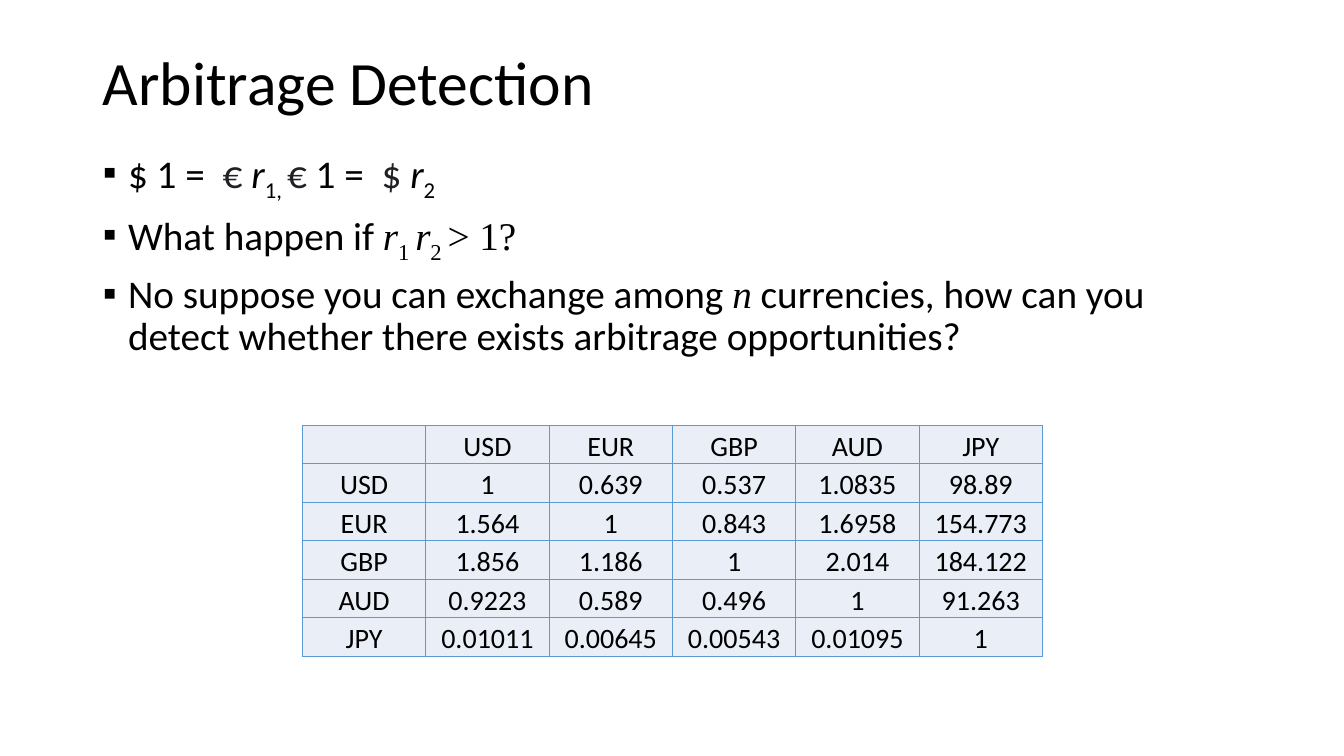
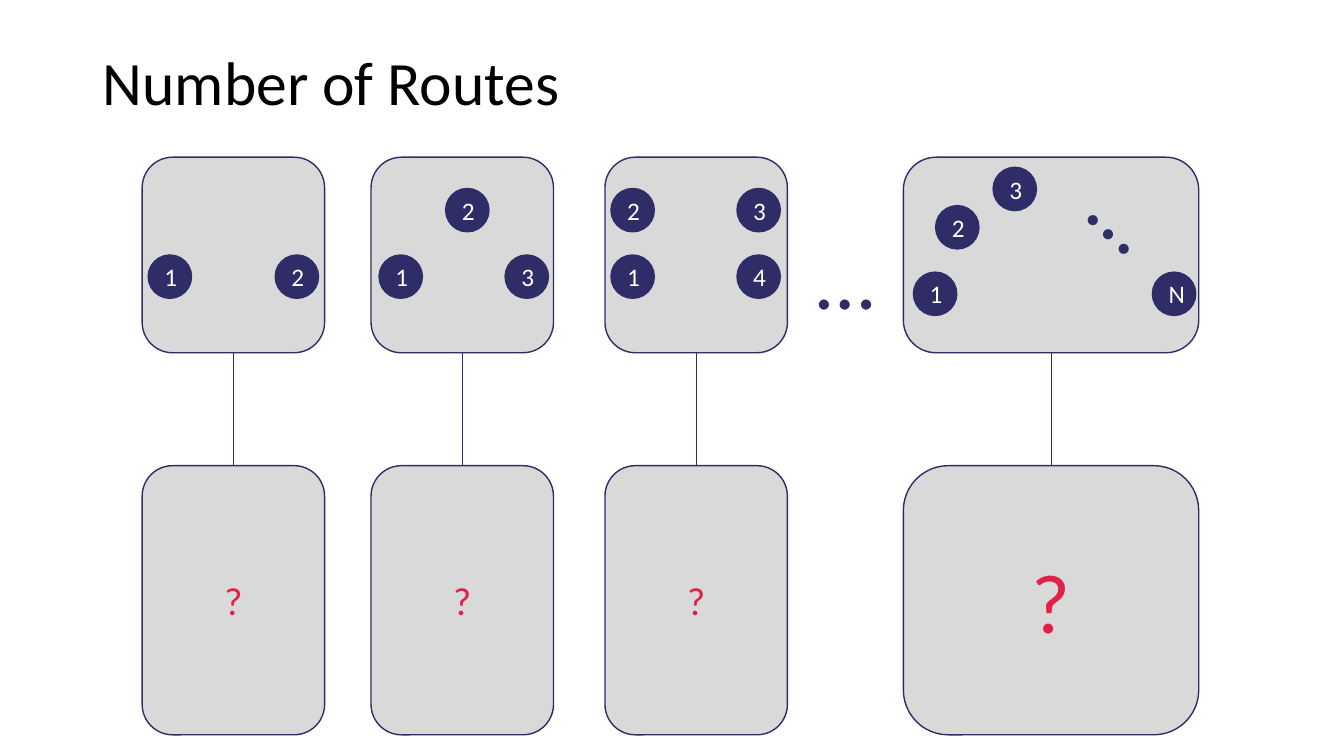
from lxml import etree
from pptx import Presentation
from pptx import util as u
from pptx.dml.color import RGBColor
from pptx.enum import shapes, text
from pptx.oxml import parse_xml
from pptx.oxml.ns import nsdecls, qn

BLACK = RGBColor(0x00, 0x00, 0x00)
WHITE = RGBColor(0xFF, 0xFF, 0xFF)
CHARCOAL = RGBColor(0x20, 0x21, 0x24)
NAVY = RGBColor(0x2E, 0x2D, 0x67)
GREY = RGBColor(0xD9, 0xD9, 0xD9)
RED = RGBColor(0xE0, 0x22, 0x46)
PALE_BLUE = RGBColor(0xEA, 0xEF, 0xF7)
BORDER_BLUE = RGBColor(0x5B, 0x9B, 0xD5)
SANS = "Calibri"
SERIF = "Times New Roman"


def write(para, words, size=28, color=BLACK, font=SANS, italic=False, baseline=0, align=None):
    """Add one formatted span to a paragraph."""
    span = para.add_run()
    span.text = words
    span.font.size = u.Pt(size)
    span.font.name = font
    span.font.color.rgb = color
    span.font.italic = italic
    if baseline:
        span.font._element.set("baseline", str(baseline * 1000))
    if align is not None:
        para.alignment = align


def add_figure(page, kind, left, top, width, height, fill, label="", **style):
    """Add a navy-outlined shape with an optional centred label."""
    figure = page.shapes.add_shape(
        kind, u.Inches(left), u.Inches(top), u.Inches(width), u.Inches(height))
    figure.shadow.inherit = False
    figure.fill.solid()
    figure.fill.fore_color.rgb = fill
    figure.line.color.rgb = NAVY
    figure.line.width = u.Pt(1)
    if label:
        figure.text_frame.vertical_anchor = text.MSO_ANCHOR.MIDDLE
        write(figure.text_frame.paragraphs[0], label, align=text.PP_ALIGN.CENTER, **style)
    return figure


deck = Presentation()
deck.slide_width = u.Inches(13.33)
deck.slide_height = u.Inches(7.5)

# Both pages share one title style; layout 1 adds a body, layout 5 is title only
pages = []
for heading, layout in (("Arbitrage Detection", 1), ("Number of Routes", 5)):
    page = deck.slides.add_slide(deck.slide_layouts[layout])
    title = page.shapes.title
    title.left, title.top = u.Inches(0.92), u.Inches(0.4)
    title.width, title.height = u.Inches(11.5), u.Inches(0.9)
    title.text_frame.vertical_anchor = text.MSO_ANCHOR.MIDDLE
    title.text_frame.auto_size = text.MSO_AUTO_SIZE.NONE
    title.text_frame.paragraphs[0].line_spacing = 0.9
    write(title.text_frame.paragraphs[0], heading, size=44, align=text.PP_ALIGN.LEFT)
    pages.append(page)
arbitrage_page, routes_page = pages

# Arbitrage: bulleted questions
body = arbitrage_page.placeholders[1]
body.left, body.top = u.Inches(0.92), u.Inches(1.44)
body.width, body.height = u.Inches(11.5), u.Inches(5.56)
body.text_frame.auto_size = text.MSO_AUTO_SIZE.NONE
grey = {"color": CHARCOAL}
variable = {"italic": True}
subscript = {"baseline": -25}
serif = {"font": SERIF}
bullets = [
    [("$ 1 = ", {}), (" € ", grey), ("r", variable), ("1, ", subscript), ("€ ", grey),
     ("1 = ", {}), (" $ ", grey), ("r", variable), ("2", subscript)],
    [("What happen if ", {}), ("r", serif | variable), ("1 ", serif | subscript),
     ("r", serif | variable), ("2 ", serif | subscript), ("> 1?", serif)],
    [("No suppose you can exchange among ", {}), ("n", serif | variable),
     (" currencies, how can you detect whether there exists arbitrage opportunities?", {})],
]
for index, spans in enumerate(bullets):
    para = body.text_frame.paragraphs[0] if index == 0 else body.text_frame.add_paragraph()
    properties = para._p.get_or_add_pPr()
    properties.set("marL", str(u.Inches(0.25)))
    properties.set("indent", str(u.Inches(-0.25)))
    etree.SubElement(properties, qn("a:buChar")).set("char", "▪")
    para.line_spacing = 0.9
    para.space_before = u.Pt(10 if index else 0)
    for words, style in spans:
        write(para, words, **style)

# Arbitrage: exchange rates
currencies = ["USD", "EUR", "GBP", "AUD", "JPY"]
rates = [
    ["1", "0.639", "0.537", "1.0835", "98.89"],
    ["1.564", "1", "0.843", "1.6958", "154.773"],
    ["1.856", "1.186", "1", "2.014", "184.122"],
    ["0.9223", "0.589", "0.496", "1", "91.263"],
    ["0.01011", "0.00645", "0.00543", "0.01095", "1"],
]
grid = [[""] + currencies] + [[name] + row for name, row in zip(currencies, rates)]
table = arbitrage_page.shapes.add_table(
    len(grid), len(grid[0]), u.Inches(3), u.Inches(4.22), u.Inches(7.34), u.Inches(2.29)).table
for row_index, row in enumerate(grid):
    for column_index, value in enumerate(row):
        cell = table.cell(row_index, column_index)
        cell.margin_left = cell.margin_right = cell.margin_top = u.Inches(0.02)
        cell.margin_bottom = 0
        cell.vertical_anchor = text.MSO_ANCHOR.BOTTOM
        for side in ("lnL", "lnR", "lnT", "lnB"):
            cell._tc.get_or_add_tcPr().append(parse_xml(
                f'<a:{side} {nsdecls("a")} w="{u.Pt(1)}"><a:solidFill>'
                f'<a:srgbClr val="{BORDER_BLUE}"/></a:solidFill></a:{side}>'))
        cell.fill.solid()
        cell.fill.fore_color.rgb = PALE_BLUE
        if value:
            write(cell.text_frame.paragraphs[0], value, size=20, align=text.PP_ALIGN.CENTER)

# Routes: each map of cities leads down to its unknown count
ROUNDED = shapes.MSO_SHAPE.ROUNDED_RECTANGLE
MAP_TOP, MAP_HEIGHT = 1.56, 1.94
COUNT_TOP, COUNT_HEIGHT = 4.62, 2.67
CITY_SIZE = 0.43
UPPER, LOWER = 1.87, 2.53
# left, width, question size, cities as (label, left, top)
columns = [
    (1.41, 1.81, 28, [("1", 1.47, LOWER), ("2", 2.73, LOWER)]),
    (3.68, 1.81, 28, [("1", 3.76, LOWER), ("2", 4.42, UPPER), ("3", 5.01, LOWER)]),
    (6, 1.81, 28, [("1", 6.06, LOWER), ("2", 6.06, UPPER),
                   ("3", 7.31, UPPER), ("4", 7.31, LOWER)]),
    (8.96, 2.93, 60, [("1", 9.06, 2.7), ("2", 9.28, 2.04),
                      ("3", 9.85, 1.66), ("N", 11.43, 2.7)]),
]
for left, width, question_size, cities in columns:
    city_map = add_figure(routes_page, ROUNDED, left, MAP_TOP, width, MAP_HEIGHT, GREY)
    count = add_figure(routes_page, ROUNDED, left, COUNT_TOP, width, COUNT_HEIGHT, GREY,
                       "?", size=question_size, color=RED)
    for label, city_left, city_top in cities:
        add_figure(routes_page, shapes.MSO_SHAPE.OVAL, city_left, city_top,
                   CITY_SIZE, CITY_SIZE, NAVY, label, size=18, color=WHITE)
    link = routes_page.shapes.add_connector(shapes.MSO_CONNECTOR.STRAIGHT, 0, 0, 0, 0)
    link.begin_connect(city_map, 2)
    link.end_connect(count, 0)
    link.line.color.rgb = NAVY
    link.line.width = u.Pt(0.5)
    etree.SubElement(link._element.spPr, qn("a:effectLst"))

# Routes: ellipses for the omitted cities and maps
for left, top, rotation in ((10.81, 1.55, 43), (8, 2.19, 0)):
    box = routes_page.shapes.add_textbox(
        u.Inches(left), u.Inches(top), u.Inches(0.71), u.Inches(1.11))
    box.rotation = rotation
    box.text_frame.word_wrap = True
    box.text_frame.auto_size = text.MSO_AUTO_SIZE.SHAPE_TO_FIT_TEXT
    write(box.text_frame.paragraphs[0], "…", size=60, color=NAVY)

deck.save("out.pptx")
